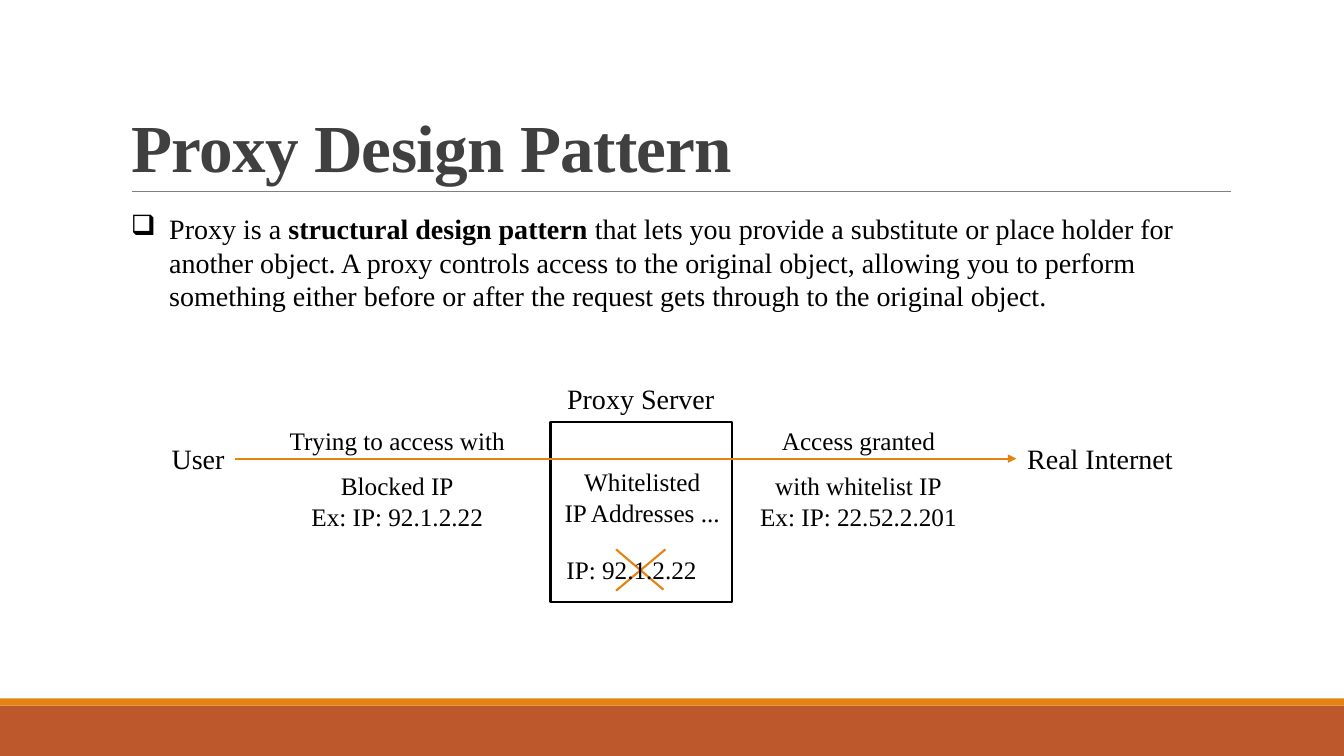
from dataclasses import dataclass

import pptx
import pptx.dml.color
import pptx.enum.shapes
import pptx.enum.text
import pptx.oxml.xmlchemy
import pptx.util
from pptx.util import Inches

ALIGN = pptx.enum.text.PP_ALIGN
ANCHOR = pptx.enum.text.MSO_ANCHOR
AUTO_SIZE = pptx.enum.text.MSO_AUTO_SIZE


@dataclass(frozen=True)
class Theme:
    font: str = "Times New Roman"
    title: str = "404040"
    text: str = "000000"
    accent: str = "E48312"
    footer: str = "BD582C"
    rule: str = "808080"
    title_size: int = 48
    body_size: int = 20
    label_size: int = 18
    rule_width: float = 0.5
    line_width: float = 1.5


THEME = Theme()


def rgb(value):
    return pptx.dml.color.RGBColor.from_string(value)


def append_element(parent, tag, **attributes):
    element = pptx.oxml.xmlchemy.OxmlElement(tag)
    for name, value in attributes.items():
        element.set(name, value)
    parent.append(element)


def add_run(paragraph, text, size, color=THEME.text, bold=False):
    run = paragraph.add_run()
    run.text = text
    run.font.name = THEME.font
    run.font.size = pptx.util.Pt(size)
    run.font.bold = bold
    run.font.color.rgb = rgb(color)
    return run


def add_line(slide, start, end, color=THEME.accent, width=THEME.line_width, arrow=False):
    line = slide.shapes.add_connector(
        pptx.enum.shapes.MSO_CONNECTOR.STRAIGHT, *map(Inches, start + end))
    line.line.color.rgb = rgb(color)
    line.line.width = pptx.util.Pt(width)
    if arrow:
        append_element(line.line._get_or_add_ln(), "a:tailEnd", type="triangle")
    append_element(line._element.spPr, "a:effectLst")


def add_rectangle(slide, box, fill=None, outline=None):
    shape = slide.shapes.add_shape(
        pptx.enum.shapes.MSO_SHAPE.RECTANGLE, *map(Inches, box))
    shape.shadow.inherit = False
    if fill:
        shape.fill.solid()
        shape.fill.fore_color.rgb = rgb(fill)
    else:
        shape.fill.background()
    if outline:
        shape.line.color.rgb = rgb(outline)
        shape.line.width = pptx.util.Pt(THEME.line_width)
    else:
        shape.line.fill.background()


def add_text_frame(slide, box, wrap):
    frame = slide.shapes.add_textbox(*map(Inches, box)).text_frame
    frame.word_wrap = wrap
    frame.auto_size = AUTO_SIZE.SHAPE_TO_FIT_TEXT
    return frame


def add_label(slide, box, lines, size, align=ALIGN.CENTER, wrap=False, spacing=()):
    """Add one paragraph per line; spacing holds the line spacing of the first ones."""
    frame = add_text_frame(slide, box, wrap)
    for index, text in enumerate(lines):
        paragraph = frame.add_paragraph() if index else frame.paragraphs[0]
        paragraph.alignment = align
        if index < len(spacing):
            paragraph.line_spacing = spacing[index]
        add_run(paragraph, text, size)


def add_bullet_text(slide, box, parts):
    """Add a bulleted paragraph from (text, bold) parts."""
    paragraph = add_text_frame(slide, box, True).paragraphs[0]
    properties = paragraph._p.get_or_add_pPr()
    indent = Inches(0.38)
    properties.set("marL", str(int(indent)))
    properties.set("indent", str(-int(indent)))
    append_element(properties, "a:buChar", char="❑")
    for text, bold in parts:
        add_run(paragraph, text, THEME.body_size, bold=bold)


def set_title(slide, text):
    title = slide.shapes.title
    title.left, title.top, title.width, title.height = map(Inches, (1.2, 0.31, 11, 1.59))
    frame = title.text_frame
    frame.word_wrap = True
    frame.auto_size = AUTO_SIZE.NONE
    frame.vertical_anchor = ANCHOR.BOTTOM
    paragraph = frame.paragraphs[0]
    paragraph.alignment = ALIGN.LEFT
    paragraph.line_spacing = 0.85
    run = add_run(paragraph, text, THEME.title_size, THEME.title, bold=True)
    run._r.get_or_add_rPr().set("spc", "-50")


def add_frame(slide):
    add_rectangle(slide, (0, 7, 13.33, 0.5), fill=THEME.footer)
    add_rectangle(slide, (0, 6.93, 13.33, 0.07), fill=THEME.accent)
    add_line(slide, (1.31, 1.9), (12.21, 1.9), THEME.rule, THEME.rule_width)


def add_proxy_diagram(slide):
    add_line(slide, (6.11, 5.86), (6.6, 5.45))
    add_line(slide, (6.11, 5.45), (6.58, 5.85))
    add_rectangle(slide, (5.46, 4.19, 1.8, 1.78), outline=THEME.text)
    for text, box in (
        ("User", (1.6, 4.33, 0.73, 0.44)),
        ("Proxy Server", (5.52, 3.74, 1.67, 0.44)),
        ("Real Internet", (10.08, 4.33, 1.66, 0.44)),
    ):
        add_label(slide, box, [text], THEME.body_size)
    add_line(slide, (2.33, 4.55), (10.08, 4.55), arrow=True)
    add_label(slide, (5.49, 4.58, 1.76, 0.71),
              ["Whitelisted", "IP Addresses ..."], THEME.label_size)
    for box, lines in (
        ((2.73, 4.02, 2.42, 1.31),
         ["Trying to access with", "Blocked IP", "Ex: IP: 92.1.2.22"]),
        ((7.43, 4.02, 2.17, 1.31),
         ["Access granted", "with whitelist IP", "Ex: IP: 22.52.2.201"]),
    ):
        add_label(slide, box, lines, THEME.label_size, spacing=(1.5, 1.5))
    add_label(slide, (5.52, 5.45, 1.67, 0.4), ["IP: 92.1.2.22"],
              THEME.label_size, align=ALIGN.LEFT, wrap=True)


def main():
    presentation = pptx.Presentation()
    presentation.slide_width = Inches(13.33)
    presentation.slide_height = Inches(7.5)
    slide = presentation.slides.add_slide(
        presentation.slide_layouts.get_by_name("Title Only"))
    add_frame(slide)
    set_title(slide, "Proxy Design Pattern")
    add_bullet_text(slide, (1.2, 2.05, 11, 1.11), [
        ("Proxy is a ", False),
        ("structural design pattern ", True),
        ("that lets you provide a substitute or place holder for another object. "
         "A proxy controls access to the original object, allowing you to perform "
         "something either before or after the request gets through to the "
         "original object.", False),
    ])
    add_proxy_diagram(slide)
    presentation.save("out.pptx")


if __name__ == "__main__":
    main()
